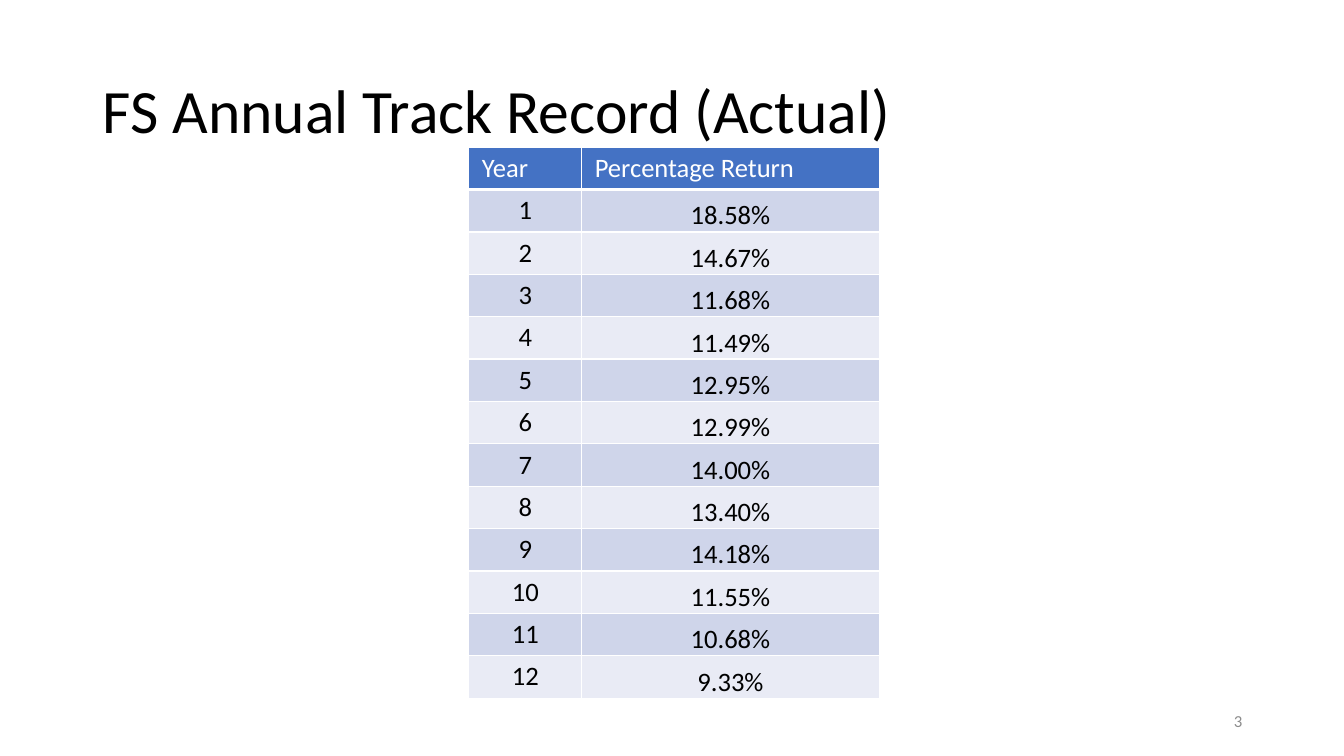
"""Build the annual track record slide with its table of yearly returns."""
from dataclasses import dataclass

from lxml.etree import SubElement
from pptx import Presentation
from pptx.dml.color import RGBColor
from pptx.enum.text import MSO_ANCHOR, PP_ALIGN
from pptx.oxml.ns import qn
from pptx.util import Inches, Pt

TITLE = "FS Annual Track Record (Actual)"
HEADS = ("Year", "Percentage Return")
RATES = (
    "18.58%", "14.67%", "11.68%", "11.49%", "12.95%", "12.99%",
    "14.00%", "13.40%", "14.18%", "11.55%", "10.68%", "9.33%",
)
NUMBER = "3"

WIDTHS = (1.12, 2.95)
ROW = 0.42
WIDE = (0.13, 0.05, 0.13, 0.05)
TIGHT = (0.02, 0.01, 0.02, 0)


@dataclass(frozen=True)
class Theme:
    """Colours, font and type sizes."""
    font: str = "Calibri"
    ink: str = "000000"
    white: str = "FFFFFF"
    head: str = "4472C4"
    bands: tuple = ("CFD5EA", "E9EBF5")
    gray: str = "8C8C8C"
    title: int = 44
    body: int = 19
    small: int = 12


THEME = Theme()


def write(frame, text, size, color, align=PP_ALIGN.LEFT):
    """Put one styled paragraph in a text frame."""
    frame.text = text
    para = frame.paragraphs[0]
    para.alignment = align
    font = para.runs[0].font
    font.name, font.size = THEME.font, Pt(size)
    font.color.rgb = RGBColor.from_string(color)
    return para


def edge(cell, base):
    """Draw white borders, the bottom one at the given weight."""
    props = cell._tc.get_or_add_tcPr()
    for side, width in (("L", 1), ("R", 1), ("T", 1), ("B", base)):
        line = SubElement(props, qn(f"a:ln{side}"), w=str(Pt(width)))
        fill = SubElement(line, qn("a:solidFill"))
        SubElement(fill, qn("a:srgbClr"), val=THEME.white)


def style(cell, text, row, col):
    """Fill one table cell according to its row and column."""
    head = row == 0
    rate = col == 1 and not head
    edge(cell, 3 if head else 1)
    cell.fill.solid()
    shade = THEME.head if head else THEME.bands[(row - 1) % 2]
    cell.fill.fore_color.rgb = RGBColor.from_string(shade)
    pads = [Inches(pad) for pad in (TIGHT if rate else WIDE)]
    cell.margin_left, cell.margin_top, cell.margin_right, cell.margin_bottom = pads
    cell.vertical_anchor = MSO_ANCHOR.BOTTOM if rate else MSO_ANCHOR.TOP
    write(cell.text_frame, text, THEME.body,
          THEME.white if head else THEME.ink,
          PP_ALIGN.LEFT if head else PP_ALIGN.CENTER)


def main():
    """Compose and save the slide."""
    deck = Presentation()
    deck.slide_width, deck.slide_height = Inches(13.33), Inches(7.5)
    slide = deck.slides.add_slide(deck.slide_layouts[5])

    title = slide.shapes.title
    title.left, title.top = Inches(0.92), Inches(0.4)
    title.width, title.height = Inches(11.5), Inches(1.45)
    title.text_frame.vertical_anchor = MSO_ANCHOR.MIDDLE
    para = write(title.text_frame, TITLE, THEME.title, THEME.ink)
    para.line_spacing = 0.9

    rows = [HEADS] + [(str(year), rate) for year, rate in enumerate(RATES, 1)]
    table = slide.shapes.add_table(
        len(rows), len(HEADS), Inches(4.65), Inches(1.46),
        Inches(sum(WIDTHS)), Inches(ROW * len(rows))).table
    for col, width in zip(table.columns, WIDTHS):
        col.width = Inches(width)
    for r, texts in enumerate(rows):
        table.rows[r].height = Inches(ROW)
        for c, text in enumerate(texts):
            style(table.cell(r, c), text, r, c)

    box = slide.shapes.add_textbox(Inches(9.42), Inches(6.95), Inches(3), Inches(0.4))
    box.text_frame.word_wrap = True
    box.text_frame.vertical_anchor = MSO_ANCHOR.MIDDLE
    write(box.text_frame, NUMBER, THEME.small, THEME.gray, PP_ALIGN.RIGHT)

    deck.save("out.pptx")


if __name__ == "__main__":
    main()
